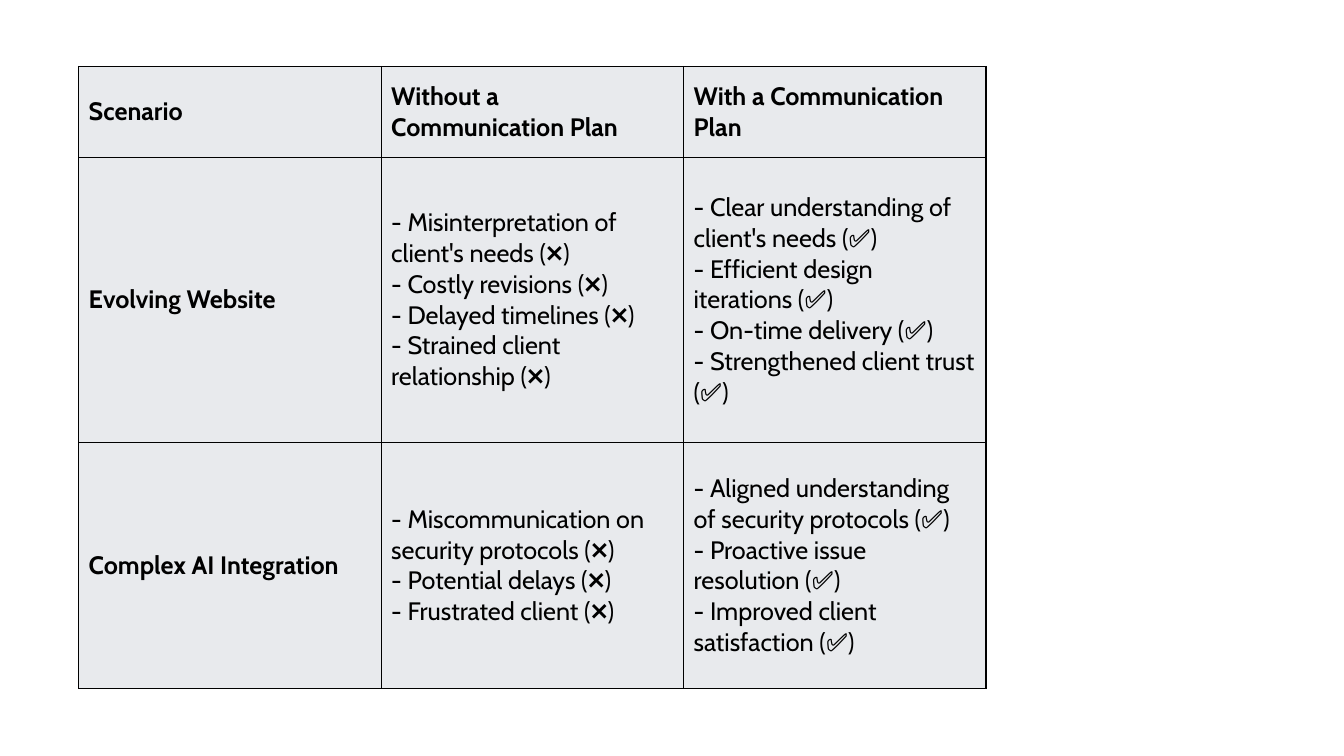
"""Build a slide comparing projects with and without a communication plan."""
import pptx
import pptx.dml.color
import pptx.enum.text
import pptx.oxml
import pptx.oxml.ns
import pptx.util

PX = 9144
BLACK = pptx.dml.color.RGBColor(0x00, 0x00, 0x00)
GREY = pptx.dml.color.RGBColor(0xE8, 0xEA, 0xED)

ROW_HEIGHTS = [90, 283, 244]
COL_WIDTH = 300
ROWS = [
    [["Scenario"], ["Without a Communication Plan"], ["With a Communication Plan"]],
    [
        ["Evolving Website"],
        [
            "- Misinterpretation of client's needs (❌)",
            "- Costly revisions (❌)",
            "- Delayed timelines (❌)",
            "- Strained client relationship (❌)",
        ],
        [
            "- Clear understanding of client's needs (✅)",
            "- Efficient design iterations (✅)",
            "- On-time delivery (✅)",
            "- Strengthened client trust (✅)",
        ],
    ],
    [
        ["Complex AI Integration"],
        [
            "- Miscommunication on security protocols (❌)",
            "- Potential delays (❌)",
            "- Frustrated client (❌)",
        ],
        [
            "- Aligned understanding of security protocols (✅)",
            "- Proactive issue resolution (✅)",
            "- Improved client satisfaction (✅)",
        ],
    ],
]


def add_borders(cell):
    tc_pr = cell._tc.get_or_add_tcPr()
    for i, side in enumerate(("lnL", "lnR", "lnT", "lnB")):
        line = pptx.oxml.parse_xml(
            f'<a:{side} {pptx.oxml.ns.nsdecls("a")} w="{pptx.util.Pt(1)}">'
            f'<a:solidFill><a:srgbClr val="{BLACK}"/></a:solidFill></a:{side}>'
        )
        tc_pr.insert(i, line)


prs = pptx.Presentation()
prs.slide_width = 1333 * PX
prs.slide_height = 750 * PX
s = prs.slides.add_slide(prs.slide_layouts[6])

table = s.shapes.add_table(
    3, 3, 78 * PX, 66 * PX, 3 * COL_WIDTH * PX, sum(ROW_HEIGHTS) * PX
).table
table.horz_banding = False
for col in table.columns:
    col.width = COL_WIDTH * PX

for i, (height, texts) in enumerate(zip(ROW_HEIGHTS, ROWS)):
    table.rows[i].height = height * PX
    for j, lines in enumerate(texts):
        cell = table.cell(i, j)
        cell.fill.solid()
        cell.fill.fore_color.rgb = GREY
        cell.vertical_anchor = pptx.enum.text.MSO_ANCHOR.MIDDLE
        add_borders(cell)
        p = cell.text_frame.paragraphs[0]
        p.text = "\v".join(lines)
        p.font.name = "Cabin"
        p.font.size = pptx.util.Pt(18)
        p.font.bold = i == 0 or j == 0
        p.font.color.rgb = BLACK

prs.save("out.pptx")
